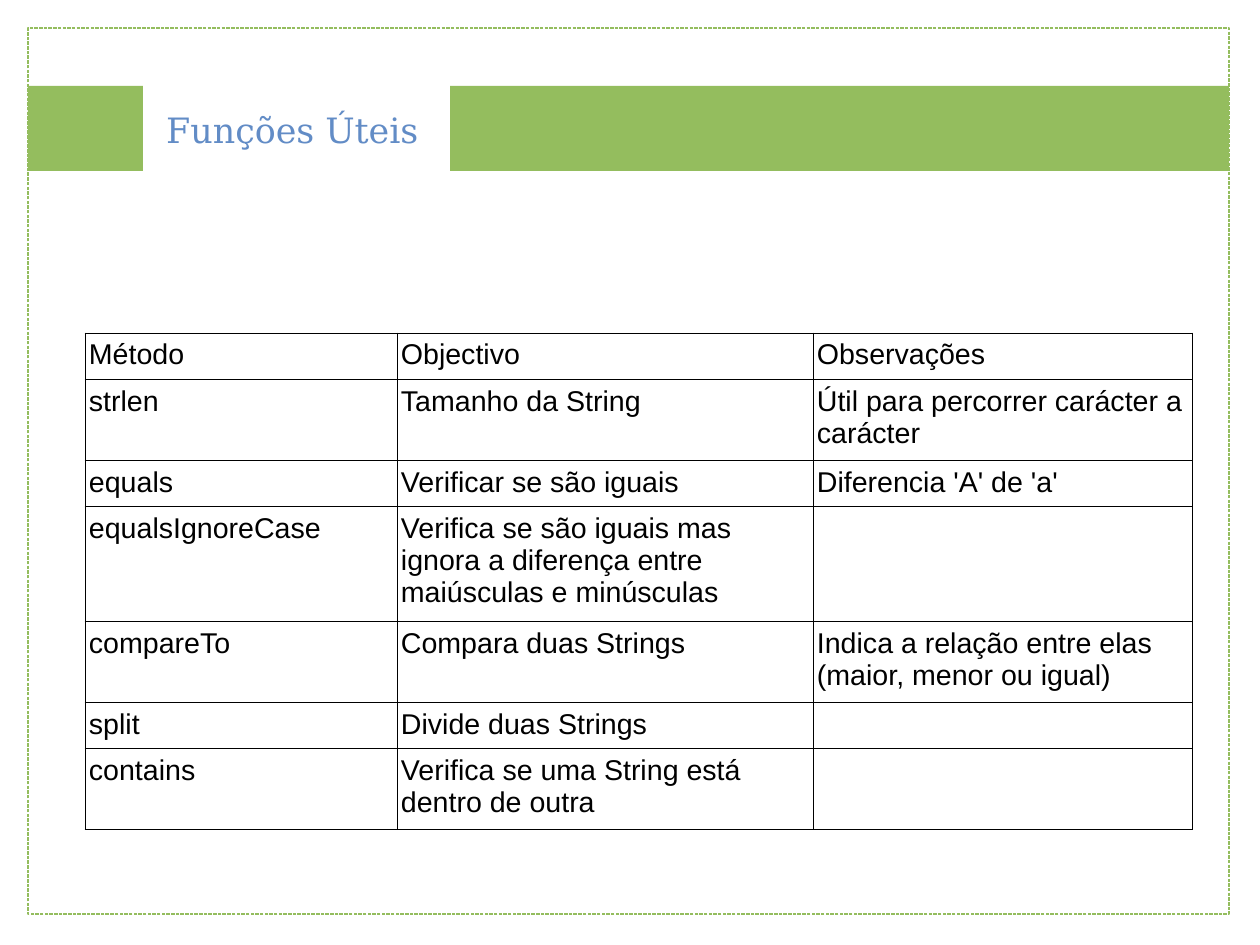
"""Build the slide of useful string functions."""
from lxml.etree import SubElement
from pptx import Presentation
from pptx.dml.color import RGBColor
from pptx.enum.dml import MSO_LINE
from pptx.enum.shapes import MSO_SHAPE
from pptx.oxml.ns import qn
from pptx.util import Pt

PX = 8000
GREEN = "94BD5E"
WIDTHS = [312, 416, 379]
HEIGHTS = [45, 81, 45, 115, 80, 45, 81]
ROWS = [
    ("Método", "Objectivo", "Observações"),
    ("strlen", "Tamanho da String", "Útil para percorrer carácter a carácter"),
    ("equals", "Verificar se são iguais", "Diferencia 'A' de 'a'"),
    ("equalsIgnoreCase", "Verifica se são iguais mas ignora a diferença entre maiúsculas e minúsculas", ""),
    ("compareTo", "Compara duas Strings", "Indica a relação entre elas (maior, menor ou igual)"),
    ("split", "Divide duas Strings", ""),
    ("contains", "Verifica se uma String está dentro de outra", ""),
]


def paint(color):
    return RGBColor.from_string(color)


def write(frame, text, size=18, font="Arial", color="000000"):
    line = frame.paragraphs[0]
    line.font.size = Pt(size)
    if text:
        run = line.add_run()
        run.text = text
        run.font.size = Pt(size)
        run.font.name = font
        run.font.color.rgb = paint(color)


deck = Presentation()
deck.slide_width, deck.slide_height = 1260 * PX, 945 * PX
slide = deck.slides.add_slide(deck.slide_layouts[6])
shapes = slide.shapes

for left, top, width, height, solid in [
    (450, 86, 779, 85, True),
    (28, 28, 1201, 886, False),
    (28, 86, 115, 85, True),
]:
    box = shapes.add_shape(MSO_SHAPE.RECTANGLE, left * PX, top * PX, width * PX, height * PX)
    box.shadow.inherit = False
    if solid:
        box.fill.solid()
        box.fill.fore_color.rgb = paint(GREEN)
        box.line.fill.background()
    else:
        box.fill.background()
        box.line.color.rgb = paint(GREEN)
        box.line.width = 0
        box.line.dash_style = MSO_LINE.SQUARE_DOT

title = shapes.add_textbox(155 * PX, 103 * PX, 275 * PX, 51 * PX)
title.text_frame.word_wrap = False
write(title.text_frame, "Funções Úteis", size=22, font="DejaVu Serif", color="628CC6")

table = shapes.add_table(
    len(ROWS), len(WIDTHS), 85 * PX, 333 * PX, sum(WIDTHS) * PX, sum(HEIGHTS) * PX
).table
table.first_row = table.horz_banding = False
for col, width in zip(table.columns, WIDTHS):
    col.width = width * PX
for row, height, texts in zip(table.rows, HEIGHTS, ROWS):
    row.height = height * PX
    for cell, text in zip(row.cells, texts):
        cell.margin_left = cell.margin_right = 4 * PX
        cell.margin_top = cell.margin_bottom = 6 * PX
        props = cell._tc.get_or_add_tcPr()
        for side in ("a:lnL", "a:lnR", "a:lnT", "a:lnB"):
            edge = SubElement(props, qn(side), w=str(Pt(0.57)))
            fill = SubElement(edge, qn("a:solidFill"))
            SubElement(fill, qn("a:srgbClr"), val="000000")
        cell.fill.background()
        write(cell.text_frame, text)

deck.save("out.pptx")
